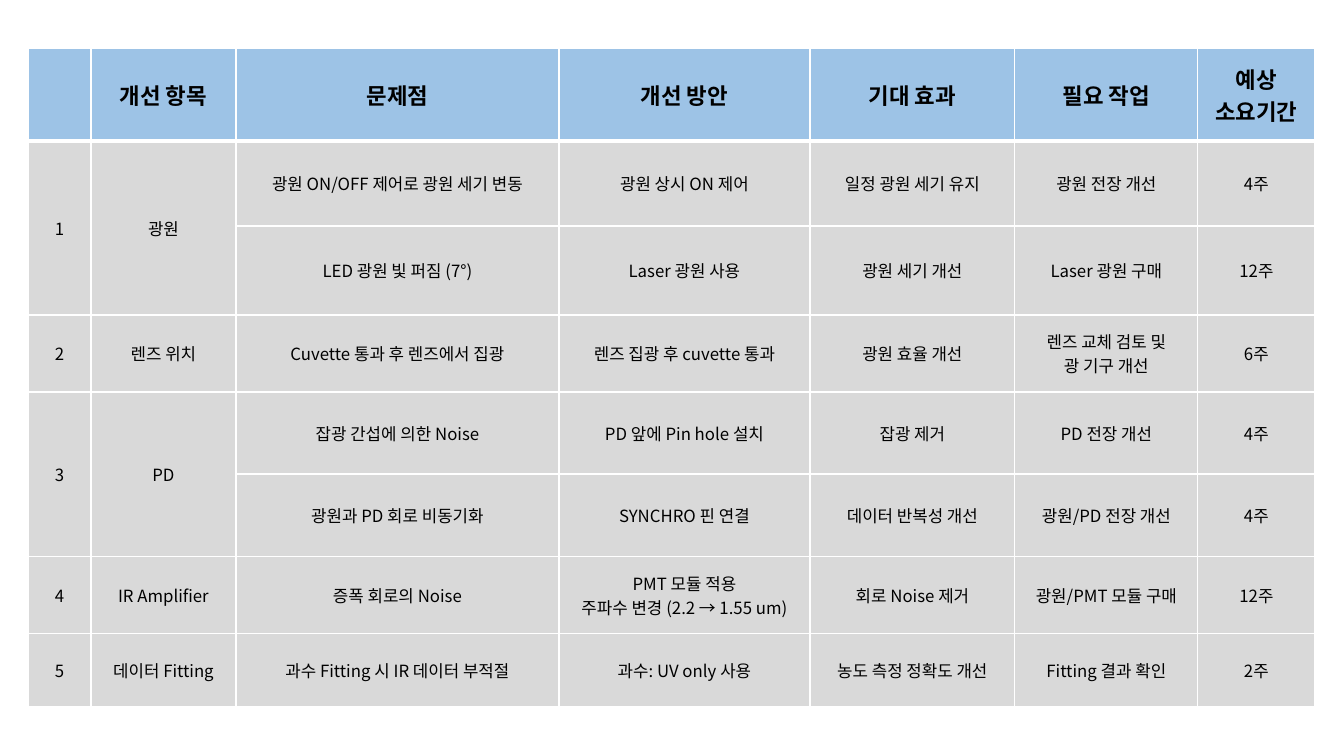
"""Build a one-slide table of planned improvements to the optical sensor."""
from lxml import etree
from pptx import Presentation
from pptx.dml.color import RGBColor
from pptx.enum.text import MSO_ANCHOR as Anchor, PP_ALIGN as Align
from pptx.oxml.ns import qn
from pptx.util import Pt

HEADER = ["", "개선 항목", "문제점", "개선 방안", "기대 효과", "필요 작업", "예상\n소요기간"]
ITEMS = [
    ("광원", [
        ("광원 ON/OFF 제어로 광원 세기 변동", "광원 상시 ON 제어", "일정 광원 세기 유지", "광원 전장 개선", "4주"),
        ("LED 광원 빛 퍼짐 (7°)", "Laser 광원 사용", "광원 세기 개선", "Laser 광원 구매", "12주"),
    ]),
    ("렌즈 위치", [
        ("Cuvette 통과 후 렌즈에서 집광", "렌즈 집광 후 cuvette 통과", "광원 효율 개선",
         "렌즈 교체 검토 및\n광 기구 개선", "6주"),
    ]),
    ("PD", [
        ("잡광 간섭에 의한 Noise", "PD 앞에 Pin hole 설치", "잡광 제거", "PD 전장 개선", "4주"),
        ("광원과 PD 회로 비동기화", "SYNCHRO 핀 연결", "데이터 반복성 개선", "광원/PD 전장 개선", "4주"),
    ]),
    ("IR Amplifier", [
        ("증폭 회로의 Noise", "PMT 모듈 적용\n주파수 변경 (2.2 → 1.55 um)", "회로 Noise 제거",
         "광원/PMT 모듈 구매", "12주"),
    ]),
    ("데이터 Fitting", [
        ("과수 Fitting 시 IR 데이터 부적절", "과수: UV only 사용", "농도 측정 정확도 개선", "Fitting 결과 확인", "2주"),
    ]),
]

PX = 914400 / 100.8
SLIDE_SIZE = (1344, 756)
TABLE_LEFT, TABLE_TOP = 28, 48
COLUMN_WIDTHS = [63, 145, 323, 251, 205, 183, 117]
ROW_HEIGHTS = [93, 85, 89, 77, 82, 83, 77, 73]
FONT = "Noto Sans CJK KR"
BLACK = RGBColor(0x00, 0x00, 0x00)
WHITE = RGBColor(0xFF, 0xFF, 0xFF)
BLUE = RGBColor(0x9D, 0xC3, 0xE6)
GRAY = RGBColor(0xD9, 0xD9, 0xD9)


def emu(pixels):
    """Turn pixels into EMU."""
    return round(pixels * PX)


def add_border(cell, side, points):
    """Draw a white line on one side of a cell."""
    line = etree.Element(qn(f"a:ln{side}"), w=str(Pt(points)))
    fill = etree.SubElement(line, qn("a:solidFill"))
    etree.SubElement(fill, qn("a:srgbClr"), val=str(WHITE))
    return line


def style_cell(cell, row):
    """Set the fill, borders and text format of a cell."""
    is_header = row == 0
    cell.fill.solid()
    cell.fill.fore_color.rgb = BLUE if is_header else GRAY
    cell.vertical_anchor = Anchor.MIDDLE
    widths = {"L": 1, "R": 1, "T": 3 if row == 1 else 1, "B": 3 if is_header else 1}
    properties = cell._tc.get_or_add_tcPr()
    for position, (side, points) in enumerate(widths.items()):
        properties.insert(position, add_border(cell, side, points))
    for paragraph in cell.text_frame.paragraphs:
        paragraph.alignment = Align.CENTER
        font = paragraph.font
        font.name = FONT
        font.size = Pt(16 if is_header else 12)
        font.bold = is_header
        font.color.rgb = BLACK
        defaults = paragraph._p.pPr.find(qn("a:defRPr"))
        etree.SubElement(defaults, qn("a:ea"), typeface=FONT)


def main():
    """Create the slide and save it."""
    presentation = Presentation()
    presentation.slide_width, presentation.slide_height = map(emu, SLIDE_SIZE)
    slide = presentation.slides.add_slide(presentation.slide_layouts[6])
    table = slide.shapes.add_table(
        len(ROW_HEIGHTS), len(COLUMN_WIDTHS), emu(TABLE_LEFT), emu(TABLE_TOP),
        emu(sum(COLUMN_WIDTHS)), emu(sum(ROW_HEIGHTS))).table
    table.first_row = False
    table.horz_banding = False
    for column, width in zip(table.columns, COLUMN_WIDTHS):
        column.width = emu(width)
    for table_row, height in zip(table.rows, ROW_HEIGHTS):
        table_row.height = emu(height)

    rows = [HEADER]
    for number, (item, problems) in enumerate(ITEMS, 1):
        first, last = len(rows), len(rows) + len(problems) - 1
        for index, problem in enumerate(problems):
            labels = ("", "") if index else (str(number), item)
            rows.append([*labels, *problem])
        if last > first:
            for column in range(2):
                table.cell(first, column).merge(table.cell(last, column))

    for row, texts in enumerate(rows):
        for column, text in enumerate(texts):
            cell = table.cell(row, column)
            if text:
                cell.text = text
            style_cell(cell, row)
    presentation.save("out.pptx")


if __name__ == "__main__":
    main()
